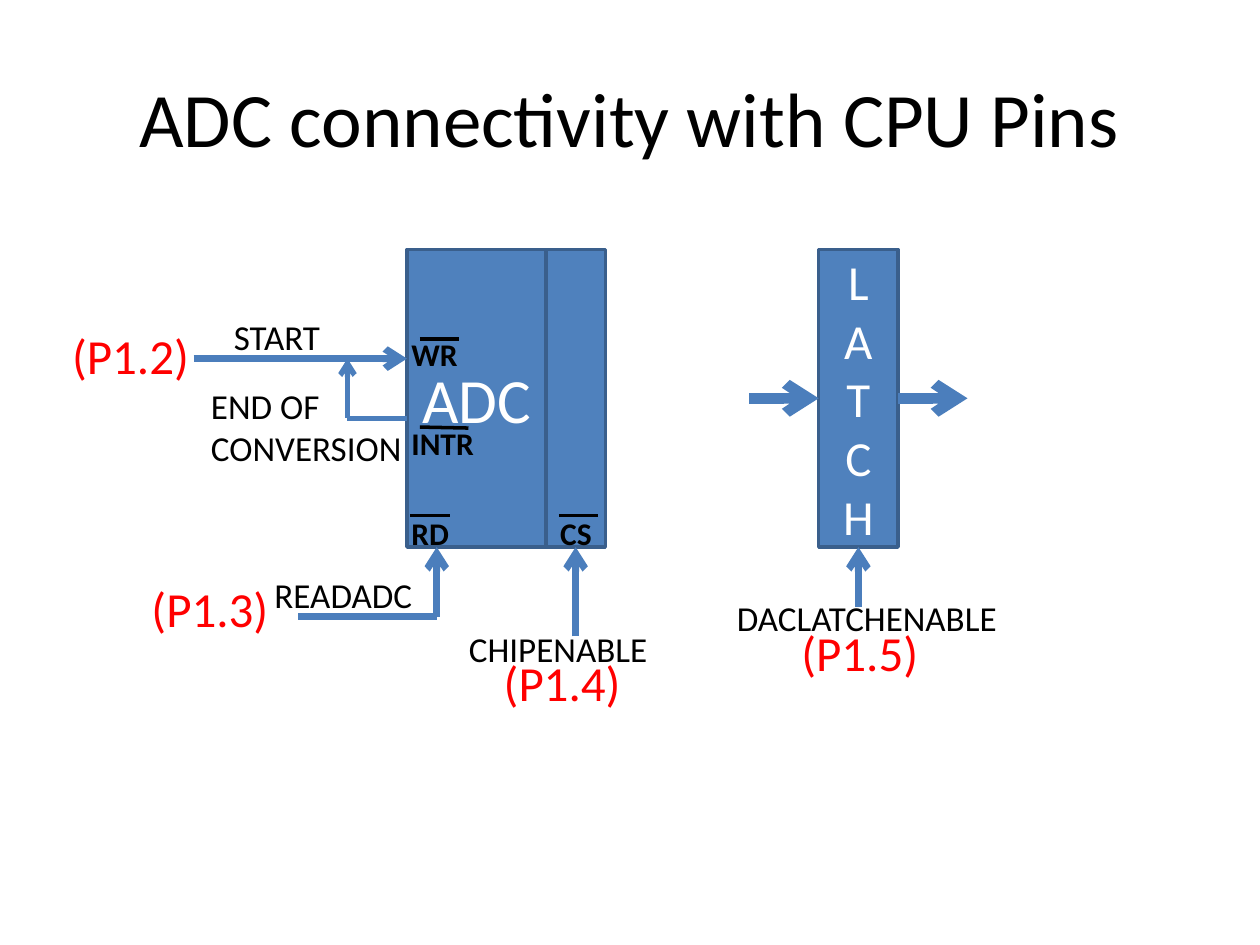
from pptx import Presentation
from pptx.dml.color import RGBColor
from pptx.enum.shapes import MSO_CONNECTOR as Link, MSO_SHAPE as Preset
from pptx.enum.text import MSO_ANCHOR as Anchor, PP_ALIGN as Align
from pptx.oxml.ns import qn
from pptx.util import Inches, Pt
from lxml.etree import SubElement

COLORS = {"block": "4F81BD", "edge": "3A5F8C", "wire": "4B7EBC",
          "ink": "000000", "pin": "FF0000", "light": "FFFFFF"}
FONT = "Calibri"
PITCH = 2 / 25.4
ORIGIN = (3.23, 1.98)
BLOCK_ROWS = 30
TOP, LEFT, BOTTOM, RIGHT = range(4)

TITLE = "ADC connectivity with CPU Pins"
BLOCKS = {
    "adc": (0, 14, ["ADC"], 36),
    "select": (14, 6, [], 18),
    "latch": (41.5, 8, ["L", "A", "T", "CH"], 28),
}
WIRES = [
    ((-21.5, 11), (0, 11), 4, "tailEnd", None, None),
    ((3, 37), (3, 30), 4, "tailEnd", None, None),
    ((3, 37), (-11, 37), 4, None, None, None),
    ((17, 39), (17, 30), 4, "tailEnd", None, ("select", BOTTOM)),
    ((0, 17), (-6, 17), 3, None, None, None),
    ((-6, 11), (-6, 17), 3, "headEnd", None, None),
    ((34.5, 15), (41.5, 15), 6, "tailEnd", None, ("latch", LEFT)),
    ((49.5, 15), (56.5, 15), 6, "tailEnd", ("latch", RIGHT), None),
    ((45.5, 36), (45.5, 30), 4, "tailEnd", None, ("latch", BOTTOM)),
]
OVERLINES = [
    ((1.3, 9), (5.2, 9)),
    ((1.3, 17.9), (6.2, 18)),
    ((0.3, 26.8), (4.3, 26.8)),
    ((15.3, 26.8), (19.3, 26.8)),
]
SIGNALS = [
    (["START"], -18.7, 6, 11.5, False),
    (["READADC"], -14.6, 32, 16.5, False),
    (["CHIPENABLE"], 5, 37.5, 20.7, False),
    (["END OF", "CONVERSION"], -21, 13, 22, False),
    (["DACLATCHENABLE"], 32, 34.4, 30, True),
]
TERMINALS = [("WR", -0.8, 8, 9), ("INTR", -0.8, 17, 9),
             ("RD", -0.8, 26, 9), ("CS", 14.2, 26, 6)]
CPU_PINS = [("(P1.2)", -35, 7), ("(P1.3)", -27, 32.5),
            ("(P1.4)", 8.5, 40), ("(P1.5)", 38.5, 37)]


def rgb(name):
    return RGBColor.from_string(COLORS[name])


def place(col, row):
    return (Inches(ORIGIN[0] + col * PITCH), Inches(ORIGIN[1] + row * PITCH))


def span(count):
    return Inches(count * PITCH)


def write(frame, lines, size, color, bold=False, align=Align.LEFT,
          anchor=Anchor.TOP, wrap=True):
    frame.word_wrap = wrap
    frame.vertical_anchor = anchor
    for index, line in enumerate(lines):
        paragraph = frame.add_paragraph() if index else frame.paragraphs[0]
        paragraph.alignment = align
        run = paragraph.add_run()
        run.text = line
        run.font.name = FONT
        run.font.size = Pt(size)
        run.font.bold = bold
        run.font.color.rgb = rgb(color)


def add_label(slide, lines, col, row, cols, rows, size, color, **style):
    label = slide.shapes.add_textbox(*place(col, row), span(cols), span(rows))
    write(label.text_frame, lines, size, color, **style)


def add_block(slide, col, cols, lines, size):
    block = slide.shapes.add_shape(
        Preset.RECTANGLE, *place(col, 0), span(cols), span(BLOCK_ROWS))
    block.shadow.inherit = False
    block.fill.solid()
    block.fill.fore_color.rgb = rgb("block")
    block.line.color.rgb = rgb("edge")
    block.line.width = Pt(2)
    write(block.text_frame, lines, size, "light",
          align=Align.CENTER, anchor=Anchor.MIDDLE)
    return block


def add_line(slide, start, end, width, color, arrow=None):
    line = slide.shapes.add_connector(Link.STRAIGHT, *place(*start), *place(*end))
    line.line.color.rgb = rgb(color)
    line.line.width = Pt(width)
    if arrow:
        SubElement(line.line._get_or_add_ln(), qn(f"a:{arrow}"), type="arrow")
    SubElement(line._element.spPr, qn("a:effectLst"))
    return line


def main():
    deck = Presentation()
    deck.slide_width, deck.slide_height = Inches(10), Inches(7.5)
    slide = deck.slides.add_slide(deck.slide_layouts[6])
    width, height = deck.slide_width, deck.slide_height

    title = slide.shapes.add_textbox(
        int(width * 0.05), int(height * 0.04), int(width * 0.9), int(height / 6))
    write(title.text_frame, [TITLE], 44, "ink",
          align=Align.CENTER, anchor=Anchor.MIDDLE)

    blocks = {key: add_block(slide, *block) for key, block in BLOCKS.items()}

    for start, end, weight, arrow, source, target in WIRES:
        wire = add_line(slide, start, end, weight, "wire", arrow)
        if source:
            wire.begin_connect(blocks[source[0]], source[1])
        if target:
            wire.end_connect(blocks[target[0]], target[1])

    for start, end in OVERLINES:
        add_line(slide, start, end, 2, "ink")
    for lines, col, row, cols, wrap in SIGNALS:
        add_label(slide, lines, col, row, cols, 1.4 + 4.2 * len(lines),
                  20, "ink", wrap=wrap)
    for name, col, row, cols in TERMINALS:
        add_label(slide, [name], col, row, cols, 5, 18, "ink", bold=True)
    for name, col, row in CPU_PINS:
        add_label(slide, [name], col, row, 16.5, 7.2, 28, "pin")

    deck.save("out.pptx")


if __name__ == "__main__":
    main()
